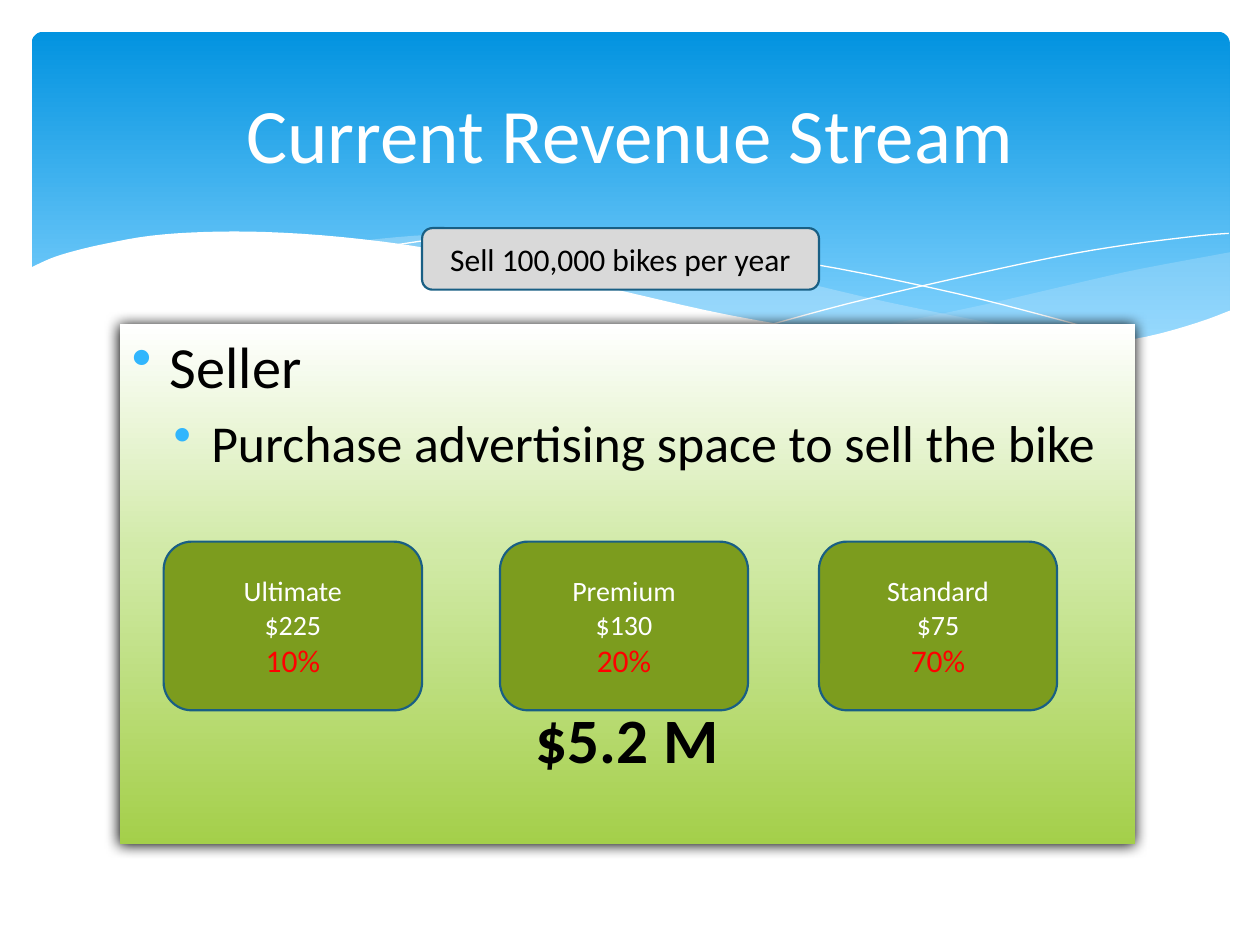
import pptx
import pptx.util
import pptx.dml.color
import pptx.enum.shapes
import pptx.enum.text
import pptx.oxml
import pptx.oxml.ns
from lxml import etree

Cm, Pt = pptx.util.Cm, pptx.util.Pt
qn = pptx.oxml.ns.qn
SHAPE = pptx.enum.shapes.MSO_SHAPE
ALIGN = pptx.enum.text.PP_ALIGN
ANCHOR = pptx.enum.text.MSO_ANCHOR

COLORS = {
    "white": "FFFFFF", "black": "000000", "red": "FF0000",
    "sky": "0293E0", "sky_light": "83D3FE", "ribbon": "C6E7FC",
    "leaf_pale": "D1EAA7", "leaf": "A4CF4A", "olive": "7C9C1E",
    "border": "195F84", "gray": "D9D9D9", "bullet": "31B6FD",
}
INCH = 2.54

RIBBON_RIGHT = [
    [(9.51, 1.75), (8.81, 1.88), (8.36, 1.98), (7.54, 2.17), (6.81, 2.32), (6.36, 2.4)],
    [(6.36, 2.4), (6.94, 2.47), (7.44, 2.52), (7.89, 2.53), (8.38, 2.51), (8.8, 2.45),
     (9.17, 2.37), (9.51, 2.22)],
]
RIBBON_MIDDLE = [
    [(8.68, 2.48), (7.82, 2.35), (6.81, 2.15), (6.04, 1.97), (5.3, 1.8), (4.64, 1.71),
     (3.95, 1.62), (3.55, 1.6), (3.03, 1.62), (2.61, 1.66)],
    [(2.61, 1.66), (3.17, 1.74), (3.79, 1.86), (4.24, 1.97), (5.05, 2.15), (5.76, 2.3),
     (6.4, 2.41), (6.97, 2.49), (7.48, 2.52), (7.93, 2.53), (8.32, 2.52), (8.68, 2.48)],
]
LINE_FALLING = [[(2.84, 1.7), (3.19, 1.65), (3.62, 1.62), (4.25, 1.63), (4.85, 1.67),
                 (5.57, 1.75), (6.4, 1.88), (7.35, 2.08), (8.06, 2.26), (8.82, 2.47)]]
LINE_RISING = [[(5.88, 2.32), (6.47, 2.16), (7.23, 1.98), (8.11, 1.79), (8.7, 1.69),
                (9.26, 1.62), (9.5, 1.6)]]
WHITE_WAVE = [
    [(9.52, 2.21), (9.25, 2.31), (8.85, 2.42), (8.38, 2.49), (7.84, 2.52), (7.19, 2.49),
     (6.43, 2.4), (5.54, 2.25), (4.78, 2.08), (3.93, 1.88), (3.15, 1.72), (2.46, 1.63),
     (1.86, 1.59), (1.36, 1.59), (0.94, 1.62), (0.6, 1.68), (0.34, 1.74), (0.15, 1.8),
     (-0.02, 1.88)],
    [(-0.02, 3.04), (9.52, 3.04)],
]


def rgb(name):
    return pptx.dml.color.RGBColor.from_string(COLORS[name])


def paint(sp, fill=None, line=None, width=1.25):
    sp.shadow.inherit = False
    if fill:
        sp.fill.solid()
        sp.fill.fore_color.rgb = rgb(fill)
    else:
        sp.fill.background()
    if line:
        sp.line.color.rgb = rgb(line)
        sp.line.width = Pt(width)
    else:
        sp.line.fill.background()


def paint_gradient(sp, stops):
    sp.fill.gradient()
    sp.fill.gradient_angle = 270
    gs_list = next(sp._element.spPr.iter(qn("a:gsLst")))
    gs_list.clear()
    for position, color in stops:
        gs = etree.SubElement(gs_list, qn("a:gs"), pos=str(position * 1000))
        etree.SubElement(gs, qn("a:srgbClr"), val=COLORS[color])


def add_run(p, text, size, color, bold=False):
    r = p.add_run()
    r.text = text
    r.font.name = "Calibri"
    r.font.size = Pt(size)
    r.font.bold = bold
    r.font.color.rgb = rgb(color)


def add_box(s, box, shape):
    sp = s.shapes.add_shape(shape, *(Cm(v) for v in box))
    sp.text_frame.word_wrap = True
    return sp


def write_centered(tf, lines):
    tf.word_wrap = True
    tf.vertical_anchor = ANCHOR.MIDDLE
    for i, (text, size, color) in enumerate(lines):
        p = tf.paragraphs[0] if i == 0 else tf.add_paragraph()
        p.alignment = ALIGN.CENTER
        add_run(p, text, size, color)


def smooth(knots, steps=4):
    ends = [knots[0]] + knots + [knots[-1]]
    points = [knots[0]]
    for a, b, c, d in zip(ends, ends[1:], ends[2:], ends[3:]):
        for k in range(1, steps + 1):
            t = k / steps
            points.append(tuple(
                b[i] + (c[i] - a[i]) * t / 2
                + (2 * a[i] - 5 * b[i] + 4 * c[i] - d[i]) * t ** 2 / 2
                + (3 * b[i] - a[i] - 3 * c[i] + d[i]) * t ** 3 / 2
                for i in (0, 1)))
    return points


def add_wave(s, box, edges, fill=None, alpha=100, line=None):
    points = [(Cm(box[0] + x * INCH), Cm(box[1] + y * INCH))
              for edge in edges for x, y in smooth(edge)]
    builder = s.shapes.build_freeform(*points[0], scale=1.0)
    builder.add_line_segments(points[1:], close=fill is not None)
    sp = builder.convert_to_shape()
    paint(sp, fill, line, 0)
    if alpha < 100:
        color = next(sp._element.spPr.iter(qn("a:srgbClr")))
        etree.SubElement(color, qn("a:alpha"), val=str(alpha * 1000))


def add_header(s, box):
    sp = add_box(s, box, SHAPE.ROUNDED_RECTANGLE)
    sp.adjustments[0] = 0.034
    paint(sp)
    paint_gradient(sp, [(0, "sky"), (90, "sky_light")])
    add_wave(s, box, RIBBON_RIGHT, "ribbon", 29)
    add_wave(s, box, RIBBON_MIDDLE, "ribbon", 40)
    add_wave(s, box, LINE_FALLING, line="white")
    add_wave(s, box, LINE_RISING, line="white")
    add_wave(s, box, WHITE_WAVE, "white")


def add_title(s, box, text):
    tb = s.shapes.add_textbox(*(Cm(v) for v in box))
    write_centered(tb.text_frame, [(text, 44, "white")])


def add_label(s, box, fill, lines):
    sp = add_box(s, box, SHAPE.ROUNDED_RECTANGLE)
    paint(sp, fill, "border")
    write_centered(sp.text_frame, lines)


def add_bullet(p, text, size, indent, before):
    p.alignment = ALIGN.LEFT
    p.space_before = Pt(before)
    pPr = p._p.get_or_add_pPr()
    pPr.set("marL", str(Cm(indent)))
    pPr.set("indent", str(-Cm(0.76)))
    color = etree.SubElement(pPr, qn("a:buClr"))
    etree.SubElement(color, qn("a:srgbClr"), val=COLORS["bullet"])
    etree.SubElement(pPr, qn("a:buChar"), char="•")
    add_run(p, text, size, "black")


def add_panel(s, box):
    sp = add_box(s, box, SHAPE.RECTANGLE)
    paint(sp)
    paint_gradient(sp, [(0, "white"), (44, "leaf_pale"), (100, "leaf")])
    effects = sp._element.spPr.find(qn("a:effectLst"))
    shadow = etree.SubElement(effects, qn("a:outerShdw"), blurRad=str(Pt(8.5)),
                              dist=str(Pt(1)), dir="5400000", rotWithShape="0")
    etree.SubElement(shadow, qn("a:srgbClr"), val=COLORS["black"])

    tf = sp.text_frame
    tf.vertical_anchor = ANCHOR.TOP
    add_bullet(tf.paragraphs[0], "Seller", 33.3, 0.76, 3)
    add_bullet(tf.add_paragraph(), "Purchase advertising space to sell the bike", 29.6, 1.6, 6)
    p = tf.add_paragraph()
    p.alignment = ALIGN.CENTER
    p.space_before = Pt(130)
    add_run(p, "$5.2 M", 36.1, "black", True)

    cards = [(0.89, 5.21, "Ultimate", "$225", "10%"),
             (7.67, 5, "Premium", "$130", "20%"),
             (14.1, 4.8, "Standard", "$75", "70%")]
    for left, width, name, price, share in cards:
        add_label(s, (box[0] + left, box[1] + 4.39, width, 3.4), "olive",
                  [(name, 16, "white"), (price, 16, "white"), (share, 18, "red")])


def main():
    prs = pptx.Presentation()
    prs.slide_width, prs.slide_height = Cm(25.4), Cm(19.05)
    s = prs.slides.add_slide(prs.slide_layouts[6])
    add_header(s, (0.64, 0.64, 24.15, 6.86))
    add_panel(s, (2.41, 6.53, 20.47, 10.49))
    add_title(s, (1.27, 0.94, 22.86, 3.48), "Current Revenue Stream")
    add_label(s, (8.51, 4.6, 8, 1.24), "gray", [("Sell 100,000 bikes per year", 18, "black")])
    prs.save("out.pptx")


if __name__ == "__main__":
    main()
